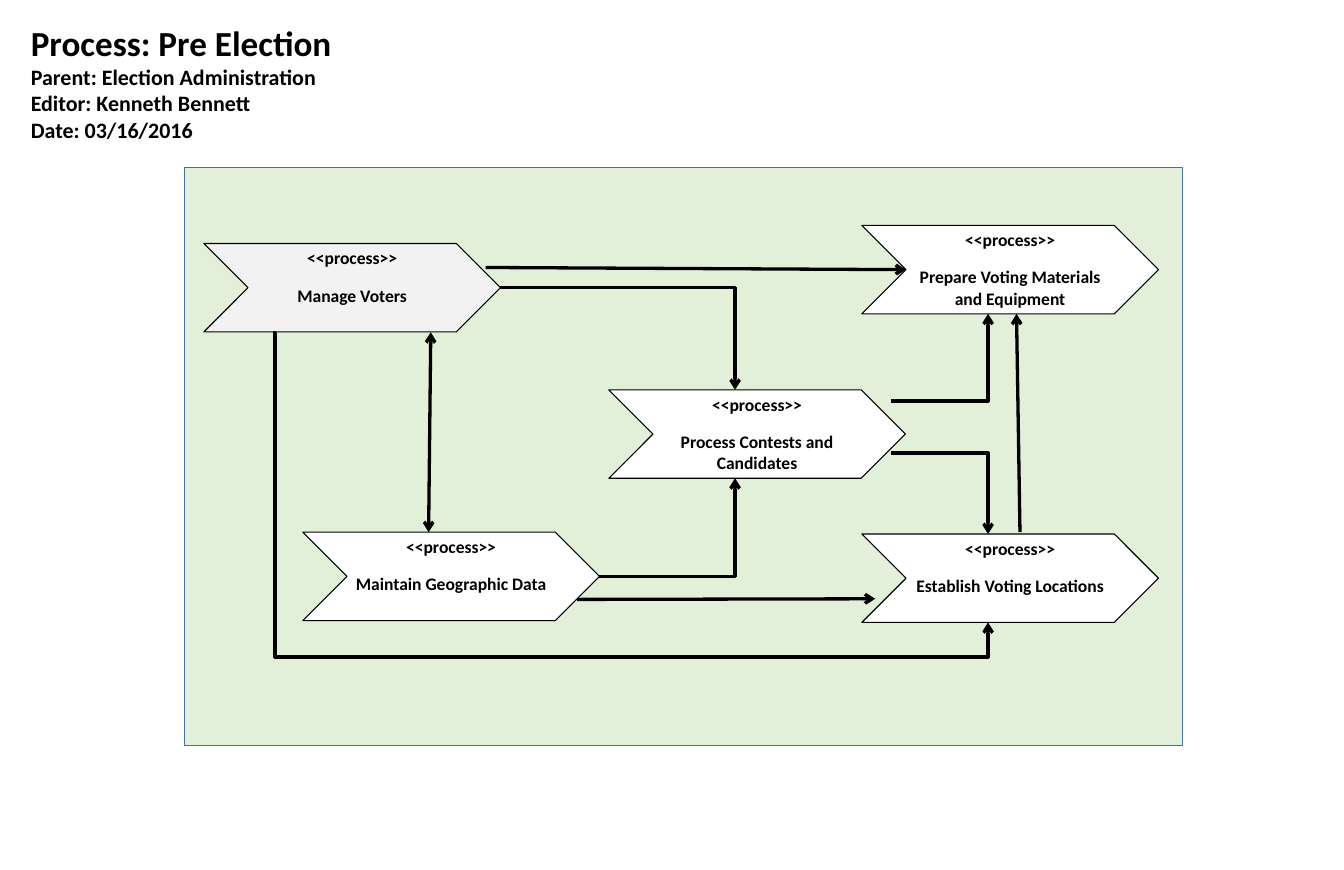
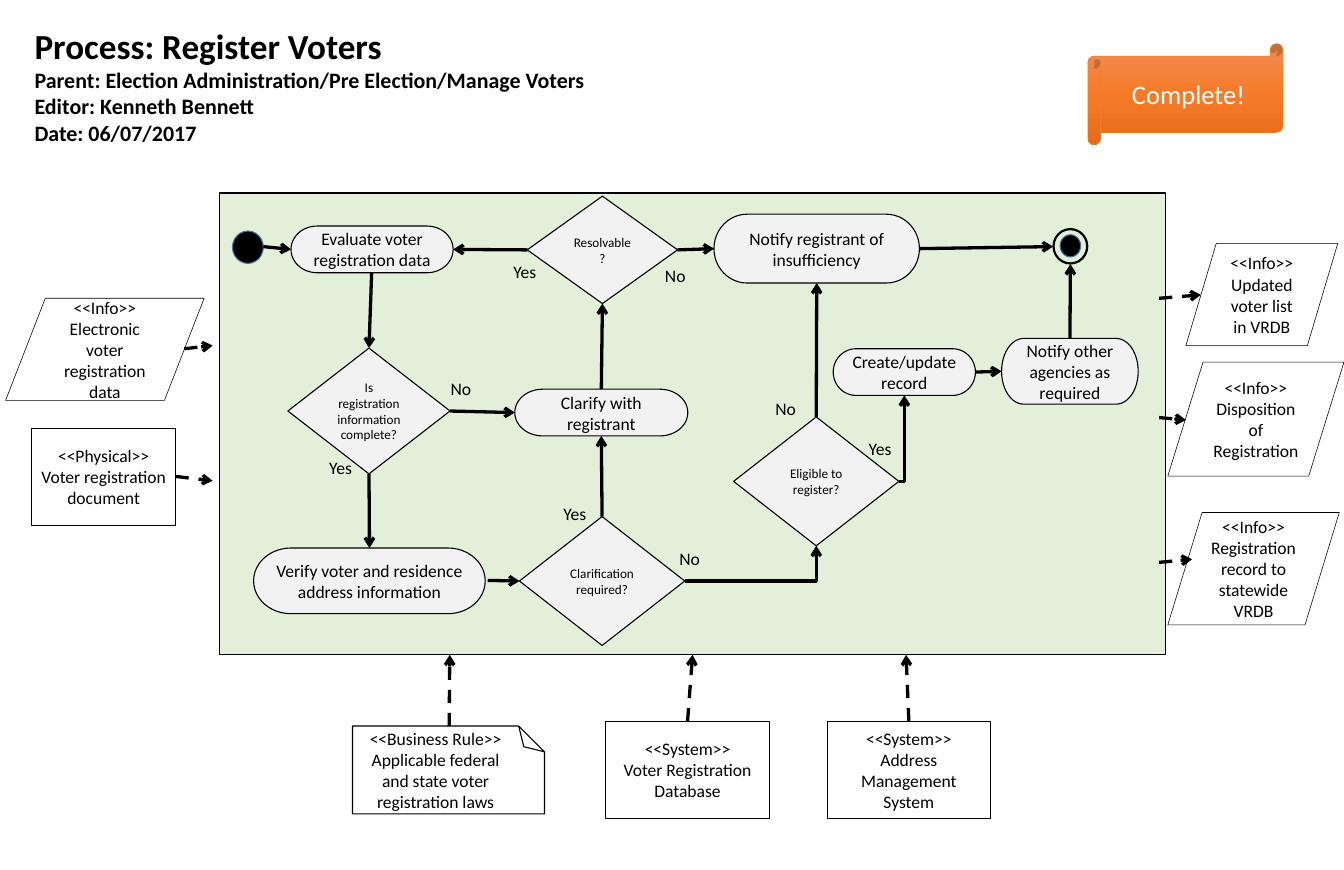
from copy import deepcopy
from pptx import Presentation
from pptx.dml.color import RGBColor
from pptx.enum.dml import MSO_LINE
from pptx.enum.shapes import MSO_CONNECTOR as Link, MSO_SHAPE as Kind
from pptx.enum.text import MSO_ANCHOR as Anchor, PP_ALIGN as Align
from pptx.oxml.ns import qn
from pptx.oxml.xmlchemy import OxmlElement as Node
from pptx.util import Cm, Pt

BLACK = RGBColor(0x00, 0x00, 0x00)
WHITE = RGBColor(0xFF, 0xFF, 0xFF)
GREY = RGBColor(0xF2, 0xF2, 0xF2)
GREEN = RGBColor(0xE2, 0xF0, 0xD9)
BLUE = RGBColor(0x43, 0x73, 0x9E)
ORANGE = RGBColor(0xED, 0x7D, 0x31)
SHADES = [(0, RGBColor(0xF1, 0x8C, 0x57)), (0.5, RGBColor(0xF6, 0x7B, 0x28)),
          (1, RGBColor(0xE5, 0x6C, 0x19))]
FONT = "Calibri"

# Content: places and sizes are in centimetres.
# An arrow end is a point, or a shape name with a side: t, l, b or r.
PRE_HEAD = ["Process: Pre Election", "Parent: Election Administration",
            "Editor: Kenneth Bennett", "Date: 03/16/2016"]
CHEVRON = (9.53, 2.84)
STEPS = {
    "voters": ("Manage Voters", 6.55, 7.82, GREY),
    "geo": ("Maintain Geographic Data", 9.73, 17.09, WHITE),
    "contest": ("Process Contests and Candidates", 19.56, 12.52, WHITE),
    "place": ("Establish Voting Locations", 27.69, 17.15, WHITE),
    "kit": ("Prepare Voting Materials and Equipment", 27.69, 7.24, WHITE),
}
PRE_BENT = [("voters r", "contest t"), ("geo r", "contest b"),
            ((28.63, 12.88), "kit b"), ((28.63, 14.55), "place t")]
PRE_LINES = [((15.6, 8.59), (29.11, 8.66)), ((18.54, 19.25), (28.12, 19.23)),
             ((32.77, 17.09), (32.66, 10.08))]

REG_HEAD = ["Process: Register Voters",
            "Parent: Election Administration/Pre Election/Manage Voters",
            "Editor: Kenneth Bennett", "Date: 06/07/2017"]
TASKS = {
    "check": ("Evaluate voter registration data", 9.35, 7.26, 5.21, 1.5),
    "clarify": ("Clarify with registrant", 16.54, 12.5, 5.56, 1.5),
    "create": ("Create/update record", 26.77, 11.2, 4.57, 1.5),
    "verify": ("Verify voter and residence address information", 8.15, 17.6, 7.44, 2.11),
    "notice": ("Notify registrant of insufficiency", 22.94, 6.88, 6.6, 2.21),
    "agency": ("Notify other agencies as required", 32.18, 10.87, 4.39, 2.11),
}
TESTS = {
    "whole": ("Is registration information complete?", 9.25, 11.18, 5.21, 4.04),
    "unclear": ("Clarification required?", 16.69, 16.59, 5.31, 4.14),
    "solve": ("Resolvable?", 16.94, 6.3, 4.83, 3.45),
    "fit": ("Eligible to register?", 23.57, 13.39, 5.31, 4.14),
}
INFOS = {
    "online": ("<<Info>>\nElectronic voter registration data", 0.18, 9.58, 6.38, 3.28),
    "list": ("<<Info>>\nUpdated voter list in VRDB", 38.1, 7.82, 4.88, 3.28),
    "result": ("<<Info>>\nDisposition of Registration", 37.52, 11.63, 5.66, 3.66),
    "state": ("<<Info>>\nRegistration record to statewide VRDB", 37.52, 16.46, 5.51, 3.61),
}
BOXES = {
    "paper": ("<<Physical>>\nVoter registration document", 1.02, 13.74, 4.62, 3.12),
    "base": ("<<System>>\nVoter Registration Database", 19.46, 23.16, 5.26, 3.12),
    "address": ("<<System>>\nAddress Management System", 26.57, 23.16, 5.26, 3.12),
}
RULE = "<<Business Rule>>\nApplicable federal and state voter registration laws"
LABELS = [("Yes", 10.08, 14.55), ("Yes", 17.6, 16.03), ("Yes", 16, 8.26),
          ("Yes", 27.41, 13.94), ("No", 13.94, 12.01), ("No", 21.29, 17.48),
          ("No", 20.83, 8.38), ("No", 24.38, 12.65)]
REG_BENT = [("unclear r", "fit b"), ("fit r", "create b")]
REG_LINES = [
    ((8.46, 7.92), "check l"), ((11.94, 8.76), "whole t"), ("whole b", "verify t"),
    ((15.67, 18.64), "unclear l"), ("unclear t", "clarify b"),
    ("whole r", "clarify l"), ("clarify t", "solve b"), ("solve l", "check r"),
    ("solve r", "notice l"), ("fit t", "notice b"), ("create r", "agency l"),
    ("agency t", (34.39, 8.48)), ("notice r", (33.83, 7.92)),
]
FLOWS = [
    ((5.92, 11.2), (6.83, 11.1)), ("paper r", (6.83, 15.44)),
    ((14.43, 23.32), (14.45, 21.03)), ("base t", (22.25, 21.03)),
    ("address t", (29.11, 21.03)), ((37.24, 9.58), (38.58, 9.47)),
    ((37.24, 13.41), (38.1, 13.49)), ((37.24, 18.06), (38.3, 17.96)),
]


def style(para, size, color=BLACK, bold=False):
    for run in para.runs:
        font = run.font
        font.name, font.size, font.bold = FONT, Pt(size), bold
        font.color.rgb = color


def write(shape, text, size=16, color=BLACK, bold=False):
    frame = shape.text_frame
    frame.text = text
    frame.word_wrap = True
    for para in frame.paragraphs:
        para.alignment = Align.CENTER
        style(para, size, color, bold)


def draw(slide, kind, place, fill=None, line=BLACK, width=1):
    shape = slide.shapes.add_shape(kind, *map(Cm, place))
    shape.shadow.inherit = False
    if fill is None:
        shape.fill.background()
    else:
        shape.fill.solid()
        shape.fill.fore_color.rgb = fill
    shape.line.color.rgb = line
    shape.line.width = Pt(width)
    return shape


def tune(shape, **values):
    """Set the adjust values of a preset outline."""
    guides = shape._element.spPr.find(qn("a:prstGeom")).find(qn("a:avLst"))
    for old in list(guides):
        guides.remove(old)
    for name, value in values.items():
        guide = Node("a:gd")
        guide.set("name", name)
        guide.set("fmla", f"val {value}")
        guides.append(guide)


def group(slide, kind, items, size=16, **look):
    """Draw captioned shapes of one kind; return them by name."""
    found = {}
    for name, (text, *place) in items.items():
        found[name] = draw(slide, kind, place, **look)
        write(found[name], text, size)
    return found


def start(deck, head, at, frame, edge):
    """Add a slide with its heading block and green frame."""
    slide = deck.slides.add_slide(deck.slide_layouts[6])
    draw(slide, Kind.RECTANGLE, frame, GREEN, edge)
    box = slide.shapes.add_textbox(*map(Cm, at))
    box.text_frame.text = "\n".join(head)
    box.text_frame.word_wrap = True
    for i, para in enumerate(box.text_frame.paragraphs):
        style(para, 20 if i else 32, bold=True)
    return slide


def locate(end, nodes):
    """Return x, y, shape and site number of an arrow end."""
    if isinstance(end, tuple):
        return Cm(end[0]), Cm(end[1]), None, None
    name, side = end.split()
    shape = nodes[name]
    wide, high = shape.width, shape.height
    mid = wide // 2
    if shape.auto_shape_type == Kind.CHEVRON:
        mid = (wide - high // 2) // 2
    x, y = {"t": (mid, 0), "l": (0, high // 2),
            "b": (mid, high), "r": (wide, high // 2)}[side]
    return shape.left + x, shape.top + y, shape, "tlbr".index(side)


def arrow(slide, nodes, ends, bend=None, dash=False, both=False):
    (x1, y1, first, out), (x2, y2, last, into) = [locate(e, nodes) for e in ends]
    kind = Link.ELBOW if bend else Link.STRAIGHT
    link = slide.shapes.add_connector(kind, x1, y1, x2, y2)
    if first is not None:
        link.begin_connect(first, out)
    if last is not None:
        link.end_connect(last, into)
    link.begin_x, link.begin_y, link.end_x, link.end_y = x1, y1, x2, y2
    link.line.color.rgb = BLACK
    link.line.width = Pt(3)
    if dash:
        link.line.dash_style = MSO_LINE.DASH
    props = link._element.spPr
    if bend:
        props.find(qn("a:prstGeom")).set("prst", bend)
    # Arrowheads, no shadow
    for tag in ["a:headEnd", "a:tailEnd"] if both else ["a:tailEnd"]:
        tip = Node(tag)
        tip.set("type", "arrow")
        props.find(qn("a:ln")).append(tip)
    props.append(Node("a:effectLst"))
    return link


def join(slide, nodes, bent, lines):
    for ends in bent:
        arrow(slide, nodes, ends, bend="bentConnector2")
    for ends in lines:
        arrow(slide, nodes, ends)


def pre(deck):
    slide = start(deck, PRE_HEAD, (0.74, 0.56, 24.54, 4.19),
                  (5.94, 5.38, 32.05, 18.57), BLUE)
    nodes = {}
    for name, (text, x, y, fill) in STEPS.items():
        step = nodes[name] = draw(slide, Kind.CHEVRON, (x, y, *CHEVRON), fill)
        write(step, "<<process>>\n" + text, bold=True)
        step.text_frame.vertical_anchor = Anchor.TOP
        step.text_frame.paragraphs[1].space_before = Pt(14.6)
    join(slide, nodes, PRE_BENT, PRE_LINES)
    arrow(slide, nodes, ((13.77, 17.09), (13.84, 10.67)), both=True)
    loop = arrow(slide, nodes, ((8.86, 10.67), "place b"), bend="bentConnector4")
    tune(loop, adj1=-100, adj2=111900)


def register(deck):
    slide = start(deck, REG_HEAD, (0.86, 0.66, 32.18, 4.19),
                  (7.06, 6.2, 30.38, 14.83), BLACK)
    nodes = {
        **group(slide, Kind.FLOWCHART_TERMINATOR, TASKS, fill=GREY),
        **group(slide, Kind.FLOWCHART_DECISION, TESTS, 12, fill=GREY),
        **group(slide, Kind.FLOWCHART_DATA, INFOS, width=0.5),
        **group(slide, Kind.FLOWCHART_PROCESS, BOXES, width=0.5),
    }
    # Start and end marks
    for place in [(7.47, 7.42, 0.99, 1.04), (34.06, 7.54, 0.66, 0.71)]:
        draw(slide, Kind.FLOWCHART_CONNECTOR, place, BLACK, BLUE)
    ring = draw(slide, Kind.DONUT, (33.83, 7.34, 1.12, 1.14), BLACK)
    tune(ring, adj=3200)
    # Business rule: a turned note with upright text
    note = draw(slide, Kind.FOLDED_CORNER, (13, 21.64, 2.82, 6.17))
    note.rotation = 270
    tune(note, adj=29400)
    write(note, RULE)
    frame = note.text_frame
    frame.margin_left = frame.margin_right = Cm(0.33)
    frame.margin_top = frame.margin_bottom = Cm(0.15)
    frame._txBody.bodyPr.set("vert", "vert")
    # Status scroll
    badge = draw(slide, Kind.HORIZONTAL_SCROLL, (34.95, 1.4, 6.27, 3.25),
                 line=ORANGE, width=0.5)
    badge.fill.gradient()
    badge.fill.gradient_angle = 270
    stops = badge._element.spPr.find(".//" + qn("a:gsLst"))
    stops.insert(1, deepcopy(stops[0]))
    for stop, (spot, color) in zip(badge.fill.gradient_stops, SHADES):
        stop.position = spot
        stop.color.rgb = color
    write(badge, "Complete!", 24.2, WHITE)
    # Arrows and their labels
    join(slide, nodes, REG_BENT, REG_LINES)
    for ends in FLOWS:
        arrow(slide, nodes, ends, dash=True)
    for text, x, y in LABELS:
        write(slide.shapes.add_textbox(Cm(x), Cm(y), Cm(1.73), Cm(0.94)), text)


def main():
    deck = Presentation()
    deck.slide_width, deck.slide_height = Cm(43.18), Cm(27.94)
    pre(deck)
    register(deck)
    deck.save("out.pptx")


if __name__ == "__main__":
    main()
